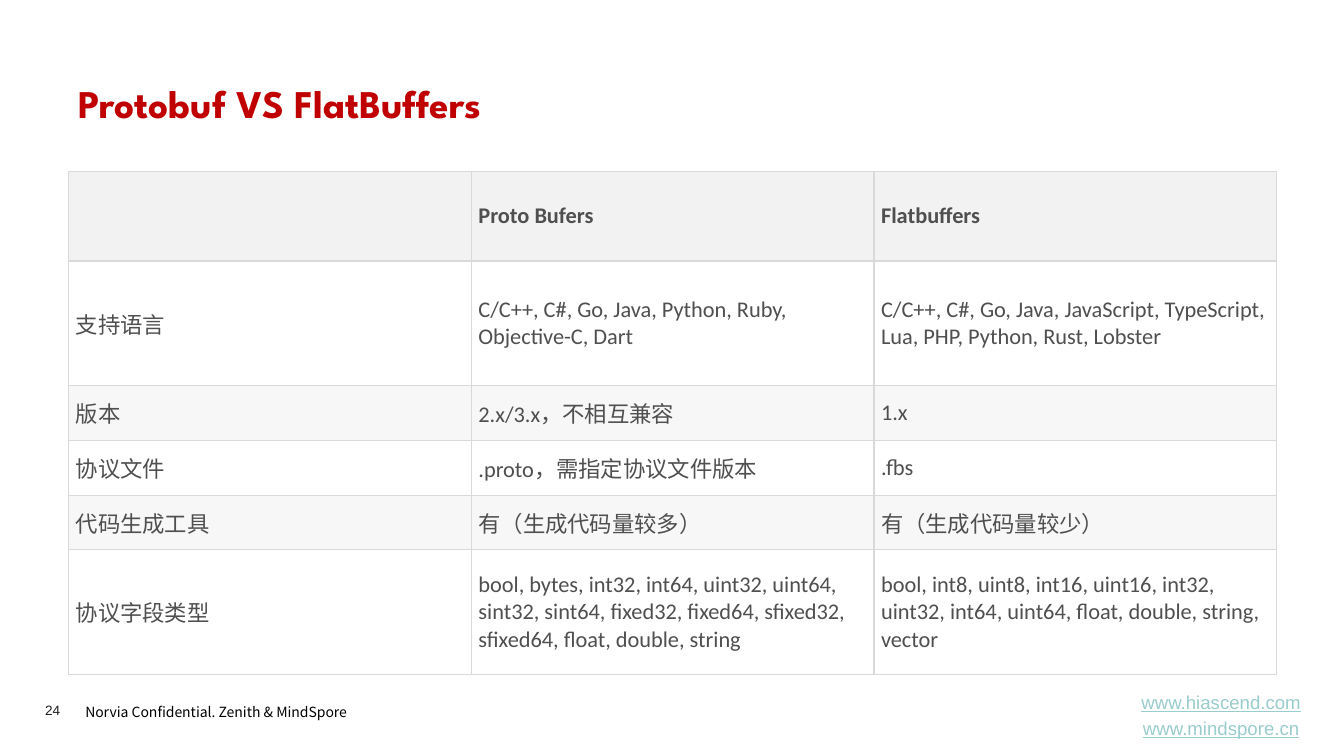
from pptx import Presentation
from pptx.dml.color import RGBColor
from pptx.enum.text import MSO_ANCHOR, PP_ALIGN
from pptx.oxml import parse_xml
from pptx.oxml.ns import nsdecls
from pptx.util import Cm, Pt

TOP, MIDDLE = MSO_ANCHOR.TOP, MSO_ANCHOR.MIDDLE
LEFT, CENTER = PP_ALIGN.LEFT, PP_ALIGN.CENTER
COLOURS = {
    "title": "C00000", "body": "4F4F4F", "footer": "000000",
    "number": "1D1D1B", "link": "99CCCC", "border": "D9D9D9",
    "header": "F2F2F2", "band": "F7F7F7", "plain": "FFFFFF",
}
ROW_HEIGHTS = [2.26, 3.14, 1.38, 1.38, 1.38, 3.14]
COLUMN_WIDTH = 10.15
COMPARISON = [
    ["", "Proto Bufers", "Flatbuffers"],
    ["支持语言", "C/C++, C#, Go, Java, Python, Ruby, Objective-C, Dart",
     "C/C++, C#, Go, Java, JavaScript, TypeScript, Lua, PHP, Python, Rust, Lobster"],
    ["版本", "2.x/3.x，不相互兼容", "1.x"],
    ["协议文件", ".proto，需指定协议文件版本", ".fbs"],
    ["代码生成工具", "有（生成代码量较多）", "有（生成代码量较少）"],
    ["协议字段类型",
     "bool, bytes, int32, int64, uint32, uint64, sint32, sint64, fixed32, "
     "fixed64, sfixed32, sfixed64, float, double, string",
     "bool, int8, uint8, int16, uint16, int32, uint32, int64, uint64, "
     "float, double, string, vector"],
]


class PageBuilder:
    def __init__(self, page, colours):
        self.page = page
        self.colours = colours

    def colour(self, name):
        return RGBColor.from_string(self.colours[name])

    def style(self, para, font, size, colour, bold=False, underline=False):
        para.font.name = font
        para.font.size = Pt(size)
        para.font.color.rgb = self.colour(colour)
        para.font.bold = bold
        para.font.underline = underline

    def text(self, lines, area, font, size, colour, anchor=TOP, align=LEFT,
             inset=None, spacing=None, gap=0, bold=False, underline=False):
        frame = self.page.shapes.add_textbox(*map(Cm, area)).text_frame
        frame.word_wrap = True
        frame.vertical_anchor = anchor
        if inset is not None:
            frame.margin_left = frame.margin_right = Cm(inset)
            frame.margin_top = frame.margin_bottom = Cm(inset)
        frame.text = "\n".join(lines)
        for index, para in enumerate(frame.paragraphs):
            para.alignment = align
            if spacing:
                para.line_spacing = spacing
            if index:
                para.space_before = Pt(gap)
            self.style(para, font, size, colour, bold, underline)

    def border(self, cell):
        properties = cell._tc.get_or_add_tcPr()
        for position, side in enumerate(("lnL", "lnR", "lnT", "lnB")):
            properties.insert(position, parse_xml(
                f'<a:{side} {nsdecls("a")} w="{Pt(1)}"><a:solidFill>'
                f'<a:srgbClr val="{self.colours["border"]}"/>'
                f'</a:solidFill></a:{side}>'))

    def table(self, rows, left, top, column_width, row_heights):
        columns = len(rows[0])
        table = self.page.shapes.add_table(
            len(rows), columns, Cm(left), Cm(top),
            Cm(column_width * columns), Cm(sum(row_heights))).table
        for column in table.columns:
            column.width = Cm(column_width)
        for index, (values, height) in enumerate(zip(rows, row_heights)):
            table.rows[index].height = Cm(height)
            fill = "header" if index == 0 else "plain" if index % 2 else "band"
            for cell, value in zip(table.rows[index].cells, values):
                cell.text = value
                cell.vertical_anchor = MIDDLE
                cell.margin_left = cell.margin_right = Cm(0.18)
                cell.margin_top = cell.margin_bottom = Cm(0.18)
                cell.fill.solid()
                cell.fill.fore_color.rgb = self.colour(fill)
                self.style(cell.text_frame.paragraphs[0], "Calibri", 16,
                           "body", bold=index == 0)
                self.border(cell)


def main():
    deck = Presentation()
    deck.slide_width, deck.slide_height = Cm(33.88), Cm(19.05)
    builder = PageBuilder(deck.slides.add_slide(deck.slide_layouts[6]), COLOURS)
    builder.text(["Norvia Confidential. Zenith & MindSpore"],
                 (1.9, 17.53, 7.95, 0.74), "Noto Sans CJK SC", 10, "footer",
                 spacing=1.2)
    builder.text(["24"], (1.14, 17.68, 1.4, 0.41), "Arial", 9.7, "number",
                 inset=0)
    builder.text(["www.hiascend.com", "www.mindspore.cn"],
                 (28.04, 17.48, 5.49, 1.09), "Arial", 13.3, "link",
                 anchor=MIDDLE, align=CENTER, gap=2.7, underline=True)
    builder.text(["Protobuf VS FlatBuffers"], (1.73, 1.88, 30.45, 1.63),
                 "League Spartan", 28, "title", bold=True)
    builder.table(COMPARISON, 1.73, 4.32, COLUMN_WIDTH, ROW_HEIGHTS)
    deck.save("out.pptx")


if __name__ == "__main__":
    main()
